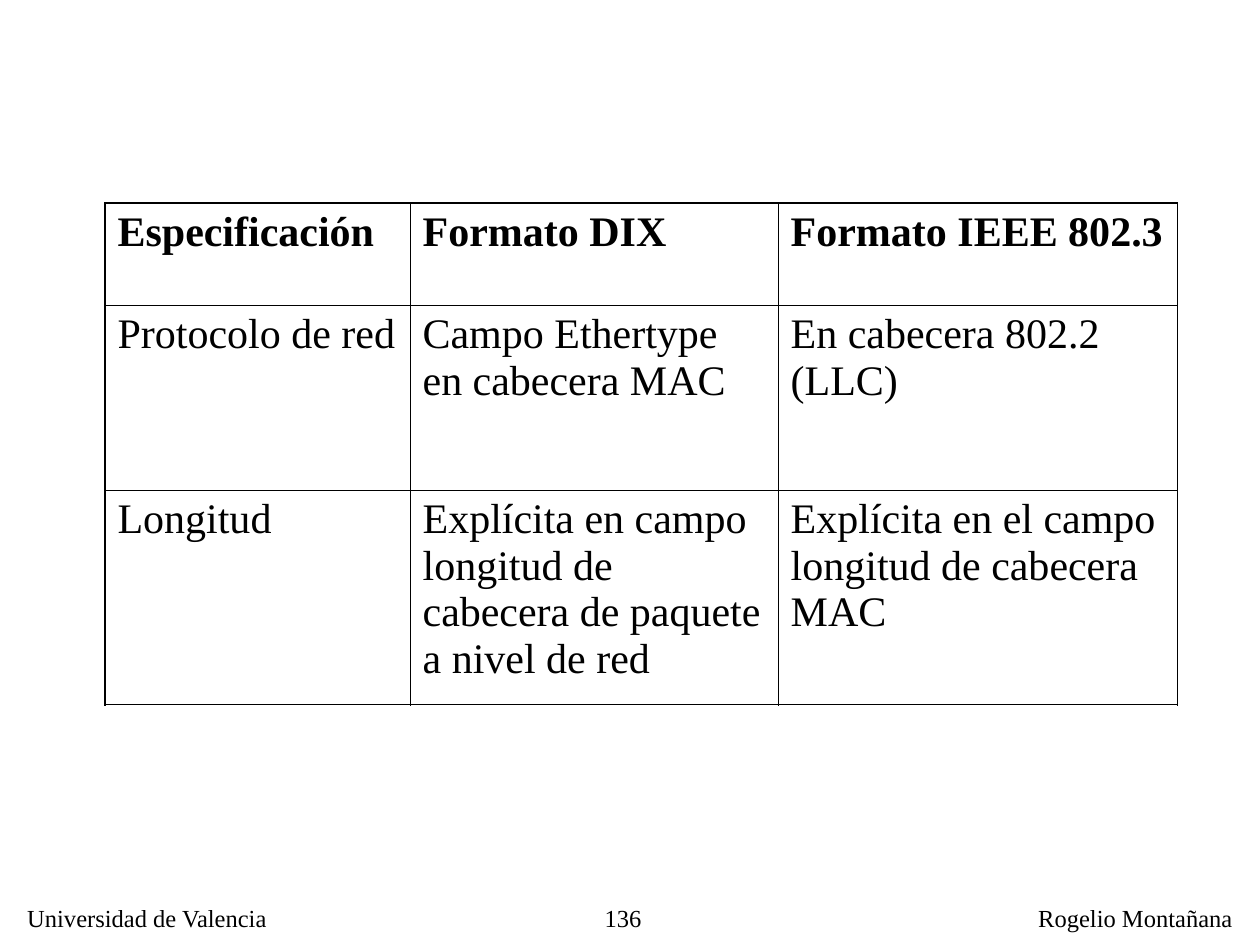
from lxml import etree
from pptx import Presentation
from pptx.dml.color import RGBColor
from pptx.enum import text
from pptx.oxml import ns
from pptx.util import Cm, Pt

FONT = "Times New Roman"
COLORS = {"ink": "000000"}
THICK, THIN = Pt(1.08), Pt(0.45)
COLS = (6.15, 7.42, 8.05)
ROWS = (2.06, 3.73, 4.32)
CELLS = (
    ("Especificación", "Formato DIX", "Formato IEEE 802.3"),
    ("Protocolo de red", "Campo Ethertype en cabecera MAC",
     "En cabecera 802.2 (LLC)"),
    ("Longitud",
     "Explícita en campo longitud de cabecera de paquete a nivel de red",
     "Explícita en el campo longitud de cabecera MAC"),
)


def style(para, size, bold=False):
    font = para.font
    font.name, font.size, font.bold = FONT, Pt(size), bold
    font.color.rgb = RGBColor.from_string(COLORS["ink"])


def add_label(slide, words, left, width, align=text.PP_ALIGN.LEFT, wrap=False):
    box = slide.shapes.add_textbox(Cm(left), Cm(18.08), Cm(width), Cm(0.86))
    frame = box.text_frame
    frame.word_wrap = wrap
    para = frame.paragraphs[0]
    para.text, para.alignment = words, align
    style(para, 14)


def set_edges(cell, row, col):
    outer = {"lnL": col == 0, "lnR": col == len(COLS) - 1,
             "lnT": row == 0, "lnB": row == len(ROWS) - 1}
    props = cell._tc.get_or_add_tcPr()
    for place, (tag, edge) in enumerate(outer.items()):
        line = etree.Element(ns.qn("a:" + tag), w=str(THICK if edge else THIN))
        fill = etree.SubElement(line, ns.qn("a:solidFill"))
        etree.SubElement(fill, ns.qn("a:srgbClr"), val=COLORS["ink"])
        props.insert(place, line)


def fill_cell(cell, words, row, col):
    cell.fill.background()
    cell.margin_left = cell.margin_right = Cm(0.25)
    cell.margin_top = cell.margin_bottom = Cm(0.13)
    para = cell.text_frame.paragraphs[0]
    para.text, para.space_before = words, Pt(6)
    style(para, 24, bold=row == 0)
    set_edges(cell, row, col)


def add_grid(slide):
    grid = slide.shapes.add_table(
        len(ROWS), len(COLS), Cm(2.12), Cm(4.09),
        Cm(sum(COLS)), Cm(sum(ROWS))).table
    grid.first_row = grid.horz_banding = False
    for col, width in zip(grid.columns, COLS):
        col.width = Cm(width)
    for row, height in zip(grid.rows, ROWS):
        row.height = Cm(height)
    for row, line in enumerate(CELLS):
        for col, words in enumerate(line):
            fill_cell(grid.cell(row, col), words, row, col)


def main():
    deck = Presentation()
    deck.slide_width, deck.slide_height = Cm(25.4), Cm(19.05)
    slide = deck.slides.add_slide(deck.slide_layouts[6])
    add_label(slide, "136", 10.49, 2.69, text.PP_ALIGN.RIGHT, wrap=True)
    add_label(slide, "Universidad de Valencia", 0.3, 5.41)
    add_label(slide, "Rogelio Montañana", 20.68, 4.42)
    add_grid(slide)
    deck.save("out.pptx")


if __name__ == "__main__":
    main()
